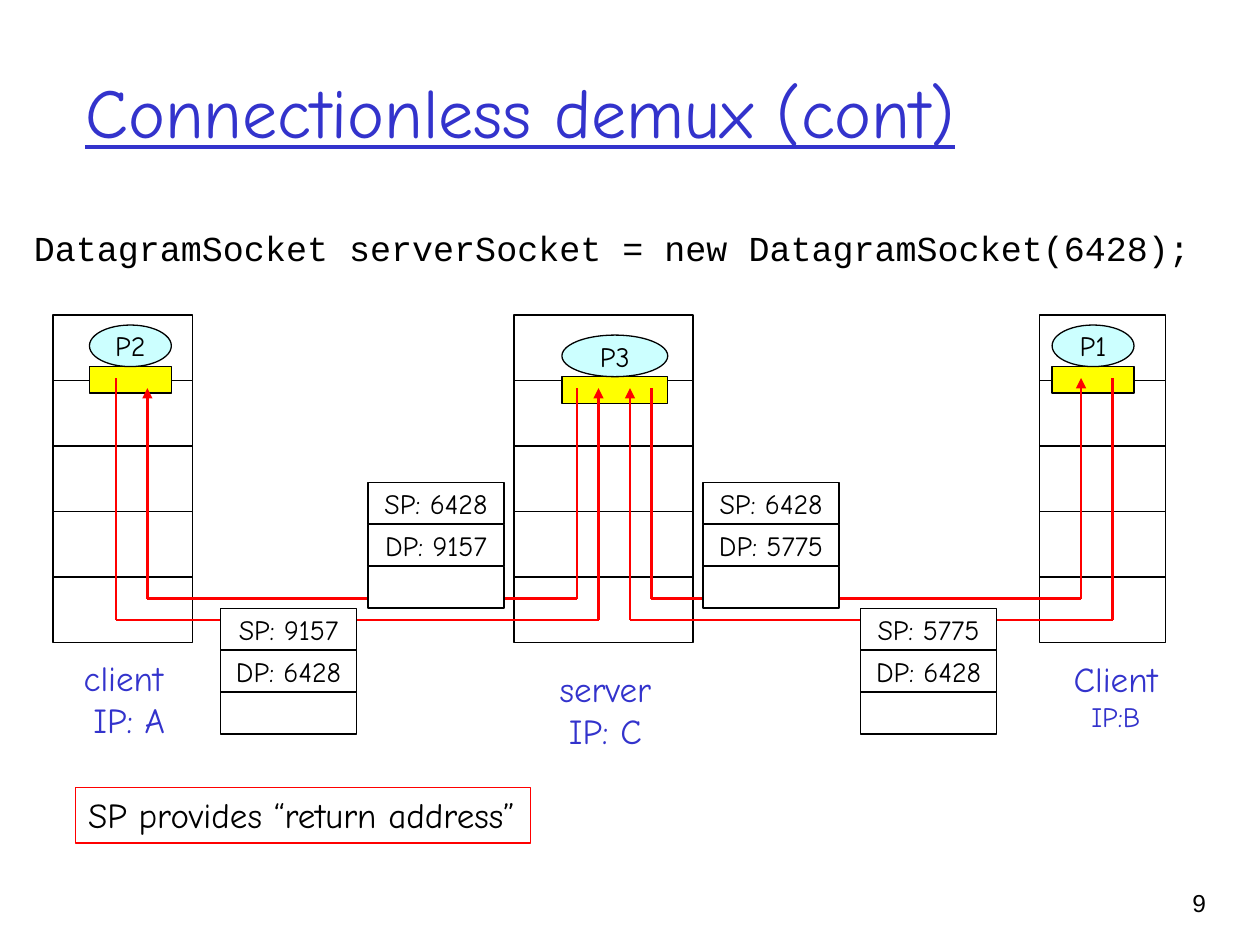
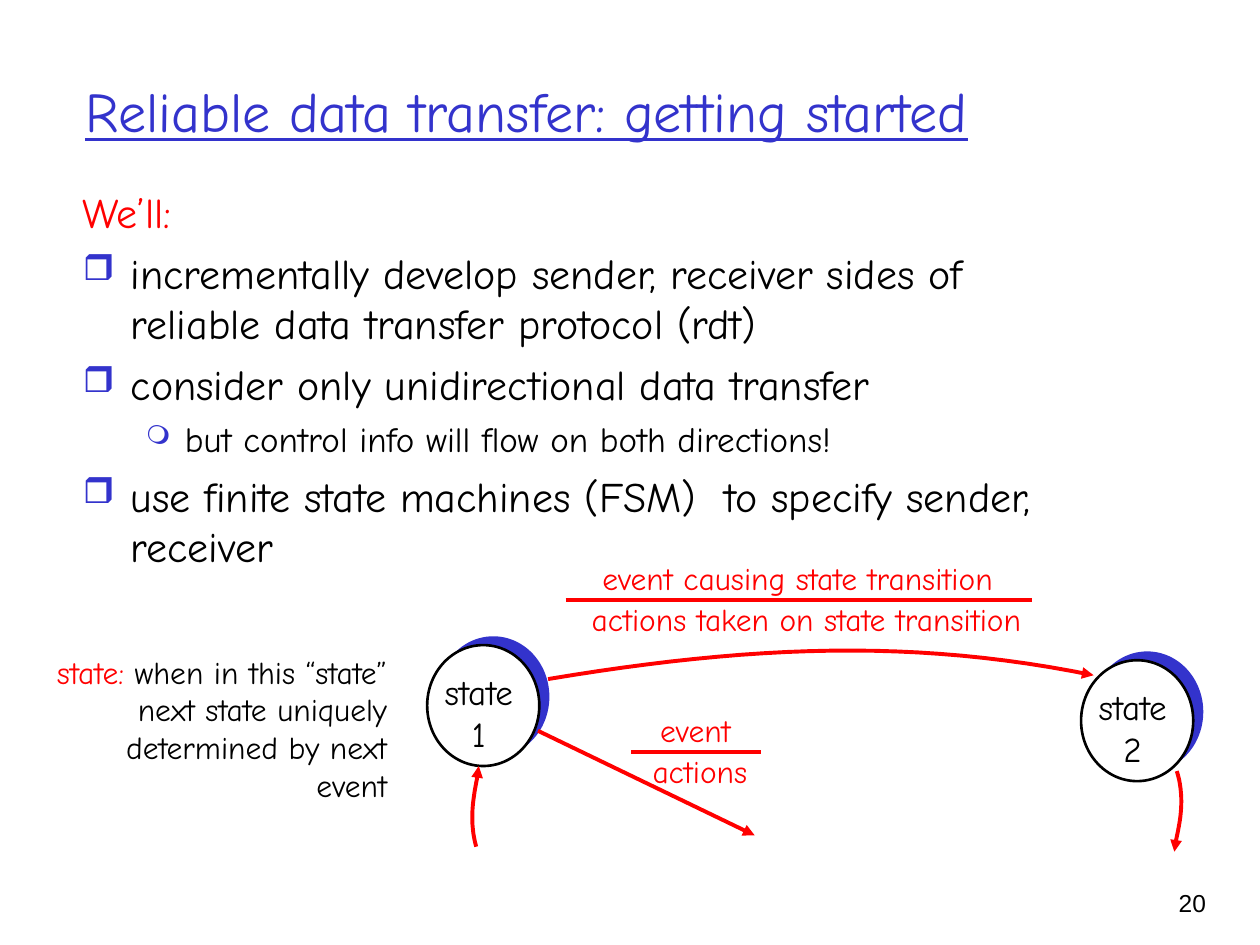
import pptx
import pptx.dml.color
import pptx.enum.shapes
import pptx.enum.text
import pptx.oxml
import pptx.util
from pptx.oxml.ns import qn

Inches = pptx.util.Inches
Pt = pptx.util.Pt
SHAPE = pptx.enum.shapes.MSO_SHAPE
ALIGN = pptx.enum.text.PP_ALIGN
ANCHOR = pptx.enum.text.MSO_ANCHOR
RGB = pptx.dml.color.RGBColor.from_string

COLORS = {
    "blue": "3333CC",
    "red": "FF0000",
    "black": "000000",
    "white": "FFFFFF",
    "socket": "FFFF00",
    "process": "CCFFFF",
}
FONT = "Comic Neue"


def add_text(slide, box, *paragraphs, kind=None, fill=None, line=None, line_width=0.75,
             size=20, color="black", font=FONT, underline=False, align=ALIGN.CENTER,
             anchor=ANCHOR.TOP, wrap=False):
    """Add a text box, or a preset shape if kind is given.

    A paragraph is a string or a list of (text, overrides) runs.
    """
    place = [Inches(length) for length in box]
    if kind is None:
        shape = slide.shapes.add_textbox(*place)
    else:
        shape = slide.shapes.add_shape(kind, *place)
        shape.shadow.inherit = False
        if fill:
            shape.fill.solid()
            shape.fill.fore_color.rgb = RGB(COLORS[fill])
        else:
            shape.fill.background()
        if line:
            shape.line.color.rgb = RGB(COLORS[line])
            shape.line.width = Pt(line_width)
        else:
            shape.line.fill.background()
    frame = shape.text_frame
    frame.word_wrap = wrap
    frame.vertical_anchor = anchor
    for index, content in enumerate(paragraphs):
        paragraph = frame.add_paragraph() if index else frame.paragraphs[0]
        paragraph.alignment = align
        runs = [(content, {})] if isinstance(content, str) else content
        for text, overrides in runs:
            run = paragraph.add_run()
            run.text = text
            run.font.name = font
            run.font.underline = underline
            run.font.size = Pt(overrides.get("size", size))
            run.font.color.rgb = RGB(COLORS[overrides.get("color", color)])
    return shape


def add_line(slide, points, width=2.25, arrow=False):
    """Draw a red line through the points, with an arrowhead at the last one if asked."""
    points = [(Inches(x), Inches(y)) for x, y in points]
    if len(points) == 2:
        straight = pptx.enum.shapes.MSO_CONNECTOR.STRAIGHT
        shape = slide.shapes.add_connector(straight, *points[0], *points[1])
        shape._element.spPr.append(pptx.oxml.parse_xml(
            '<a:effectLst xmlns:a="http://schemas.openxmlformats.org/drawingml/2006/main"/>'))
    else:
        builder = slide.shapes.build_freeform(*points[0])
        builder.add_line_segments(points[1:], close=False)
        shape = builder.convert_to_shape()
        shape.shadow.inherit = False
        shape.fill.background()
    shape.line.color.rgb = RGB(COLORS["red"])
    shape.line.width = Pt(width)
    if arrow:
        outline = shape.line._get_or_add_ln()
        outline.append(outline.makeelement(qn("a:tailEnd"), {"type": "triangle"}))


presentation = pptx.Presentation()
presentation.slide_width = Inches(10)
presentation.slide_height = Inches(7.5)

slides = []
for title, title_size, number in [
    ("Connectionless demux (cont)", 40, "9"),
    ("Reliable data transfer: getting started", 32, "20"),
]:
    slide = presentation.slides.add_slide(presentation.slide_layouts[6])
    add_text(slide, (8.93, 7, 0.74, 0.5), number, size=14, font="Arial",
             align=ALIGN.RIGHT, wrap=True)
    add_text(slide, (0.58, 0.25, 8.5, 1.25), title, size=title_size, color="blue",
             underline=True, align=ALIGN.LEFT, anchor=ANCHOR.MIDDLE, wrap=True)
    slides.append(slide)
demux_slide, transfer_slide = slides

# Slide 1: hosts, their sockets and the datagrams between them
code = add_text(demux_slide, (0.17, 1.75, 9.5, 0.67),
                "DatagramSocket serverSocket = new DatagramSocket(6428);",
                font="Courier New", align=ALIGN.LEFT, wrap=True)
code.text_frame.paragraphs[0].space_before = Pt(5)

LAYER_HEIGHT = 0.52
hosts = [
    # left, width, process, process left, top and width, label box, label
    (0.42, 1.11, "P2", 0.71, 2.58, 0.65, (0.55, 5.16, 0.86, 0.77), ["client", " IP: A"]),
    (8.25, 1, "P1", 8.35, 2.58, 0.65, (8.42, 5.17, 0.87, 0.7),
     ["Client", [("IP:B", {"size": 16})]]),
    (4.08, 1.42, "P3", 4.46, 2.66, 0.84, (4.34, 5.25, 0.93, 0.77), ["server", "IP: C"]),
]
for (left, width, process, process_left, process_top, process_width,
     label_box, label) in hosts:
    for layer in range(5):
        add_text(demux_slide, (left, 2.5 + layer * LAYER_HEIGHT, width, LAYER_HEIGHT),
                 kind=SHAPE.RECTANGLE, fill="white", line="black")
    add_text(demux_slide, (process_left, process_top + 0.33, process_width, 0.21),
             kind=SHAPE.RECTANGLE, fill="socket", line="black")
    add_text(demux_slide, (process_left, process_top, process_width, 0.33), process,
             kind=SHAPE.OVAL, fill="process", line="black", size=16, anchor=ANCHOR.MIDDLE)
    add_text(demux_slide, label_box, *label, color="blue")

# Each route goes down from the sender, across, and up to the receiver
for start_x, start_y, across_y, end_x, end_y in [
    (0.92, 3, 4.92, 4.75, 3.08),
    (4.58, 3.08, 4.75, 1.17, 3.08),
    (8.83, 3, 4.92, 5, 3.08),
    (5.17, 3.08, 4.75, 8.58, 3),
]:
    corners = [(start_x, start_y), (start_x, across_y), (end_x, across_y), (end_x, end_y)]
    for leg in range(3):
        add_line(demux_slide, corners[leg:leg + 2], width=1.5, arrow=leg == 2)

for left, top, source_port, destination_port in [
    (2.92, 3.83, 6428, 9157),
    (1.75, 4.83, 9157, 6428),
    (5.58, 3.83, 6428, 5775),
    (6.83, 4.83, 5775, 6428),
]:
    fields = [[f"SP: {source_port}"], [f"DP: {destination_port}"], []]
    for row, field in enumerate(fields):
        add_text(demux_slide, (left, top + row / 3, 1.08, 0.33), *field,
                 kind=SHAPE.RECTANGLE, fill="white", line="black", size=16,
                 anchor=ANCHOR.MIDDLE)

add_text(demux_slide, (0.6, 6.25, 3.61, 0.44), "SP provides “return address”",
         kind=SHAPE.RECTANGLE, line="red", align=ALIGN.LEFT)

# Slide 2: plan and a state machine
plan = [
    # text, size, colour, bullet, bullet percent, left margin, hanging indent, space before
    ("We’ll:", 24, "red", None, None, 0.38, 0.38, 6),
    ("incrementally develop sender, receiver sides of reliable data transfer protocol (rdt)",
     24, "black", "❒", 85, 0.38, 0.38, 6),
    ("consider only unidirectional data transfer", 24, "black", "❒", 85, 0.38, 0.38, 6),
    ("but control info will flow on both directions!", 20, "black", "❍", 75, 0.81, 0.31, 5),
    ("use finite state machines (FSM)  to specify sender, receiver",
     24, "black", "❒", 85, 0.38, 0.38, 6),
]
body = add_text(transfer_slide, (0.56, 1.43, 7.94, 3.67),
                *[[(text, {"size": size, "color": color})] for text, size, color, *_ in plan],
                align=ALIGN.LEFT, wrap=True)
for paragraph, (*_, bullet, percent, margin, hanging, before) in zip(
        body.text_frame.paragraphs, plan):
    paragraph.space_before = Pt(before)
    properties = paragraph._p.get_or_add_pPr()
    properties.set("marL", str(Inches(margin)))
    properties.set("indent", str(-Inches(hanging)))
    if bullet:
        bullet_color = properties.makeelement(qn("a:buClr"), {})
        bullet_color.append(bullet_color.makeelement(qn("a:srgbClr"), {"val": COLORS["blue"]}))
        properties.append(bullet_color)
        for tag, attributes in [("a:buSzPct", {"val": str(percent * 1000)}),
                                ("a:buChar", {"char": bullet})]:
            properties.append(properties.makeelement(qn(tag), attributes))

for left, top, state in [(3.39, 5.12, "1"), (8.58, 5.24, "2")]:
    add_text(transfer_slide, (left + 0.08, top - 0.07, 0.89, 0.96),
             kind=SHAPE.OVAL, fill="blue")
    add_text(transfer_slide, (left, top, 0.89, 0.96),
             kind=SHAPE.OVAL, fill="white", line="black", line_width=1.5)
    add_text(transfer_slide, (left + 0.03, top + 0.15, 0.76, 0.77), "state", state)

# Curved transitions, each a cubic Bezier curve: start, two controls, end
CURVE_STEPS = 24
for curve in [
    [(4.35, 5.39), (5.97, 5.12), (7.26, 5.07), (8.68, 5.36)],
    [(3.78, 6.72), (3.7, 6.44), (3.8, 6.18), (3.8, 6.08)],
    [(9.34, 6.12), (9.43, 6.41), (9.32, 6.66), (9.32, 6.76)],
]:
    points = []
    for step in range(CURVE_STEPS + 1):
        t = step / CURVE_STEPS
        weights = [(1 - t) ** 3, 3 * t * (1 - t) ** 2, 3 * t ** 2 * (1 - t), t ** 3]
        points.append([sum(weight * value for weight, value in zip(weights, axis))
                       for axis in zip(*curve)])
    add_line(transfer_slide, points, arrow=True)
add_line(transfer_slide, [(4.27, 5.8), (5.99, 6.63)], arrow=True)

for event, event_box, action, action_box, bar_left, bar_right, bar_y in [
    ("event causing state transition", (4.67, 4.39, 3.32, 0.4),
     "actions taken on state transition", (4.58, 4.71, 3.64, 0.4), 4.49, 8.19, 4.76),
    ("event", (5.14, 5.59, 0.76, 0.4), "actions", (5.08, 5.92, 0.95, 0.4), 5.01, 6.04, 5.97),
]:
    add_text(transfer_slide, event_box, event, size=18, color="red")
    add_text(transfer_slide, action_box, action, size=18, color="red")
    add_line(transfer_slide, [(bar_left, bar_y), (bar_right, bar_y)])

definition = add_text(
    transfer_slide, (0.14, 5.13, 3.03, 1.35),
    [("state:", {"color": "red"}),
     (" when in this “state” next state uniquely determined by next event", {})],
    size=18, align=ALIGN.RIGHT, wrap=True)
paragraph = definition.text_frame.paragraphs[0]
paragraph.space_before = Pt(4.5)
properties = paragraph._p.get_or_add_pPr()
properties.set("marL", str(Inches(0.38)))
properties.set("indent", str(-Inches(0.38)))

presentation.save("out.pptx")
